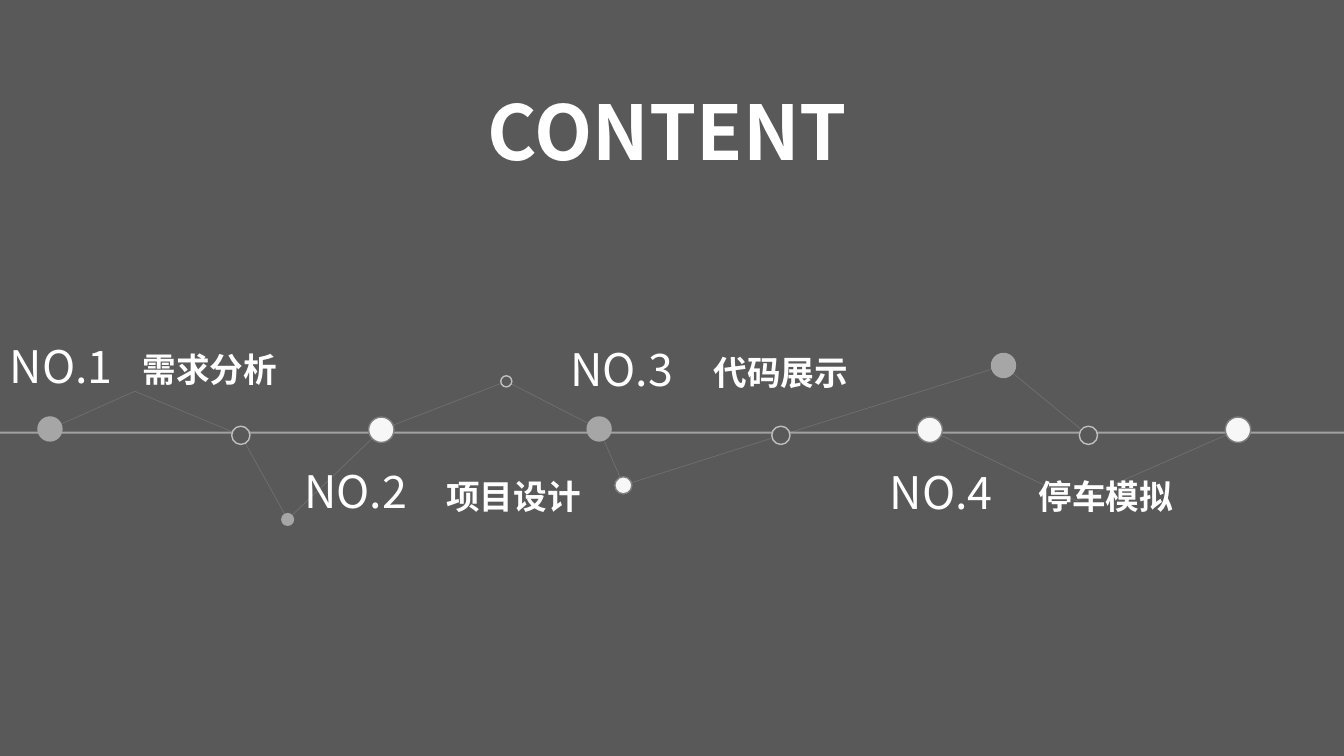
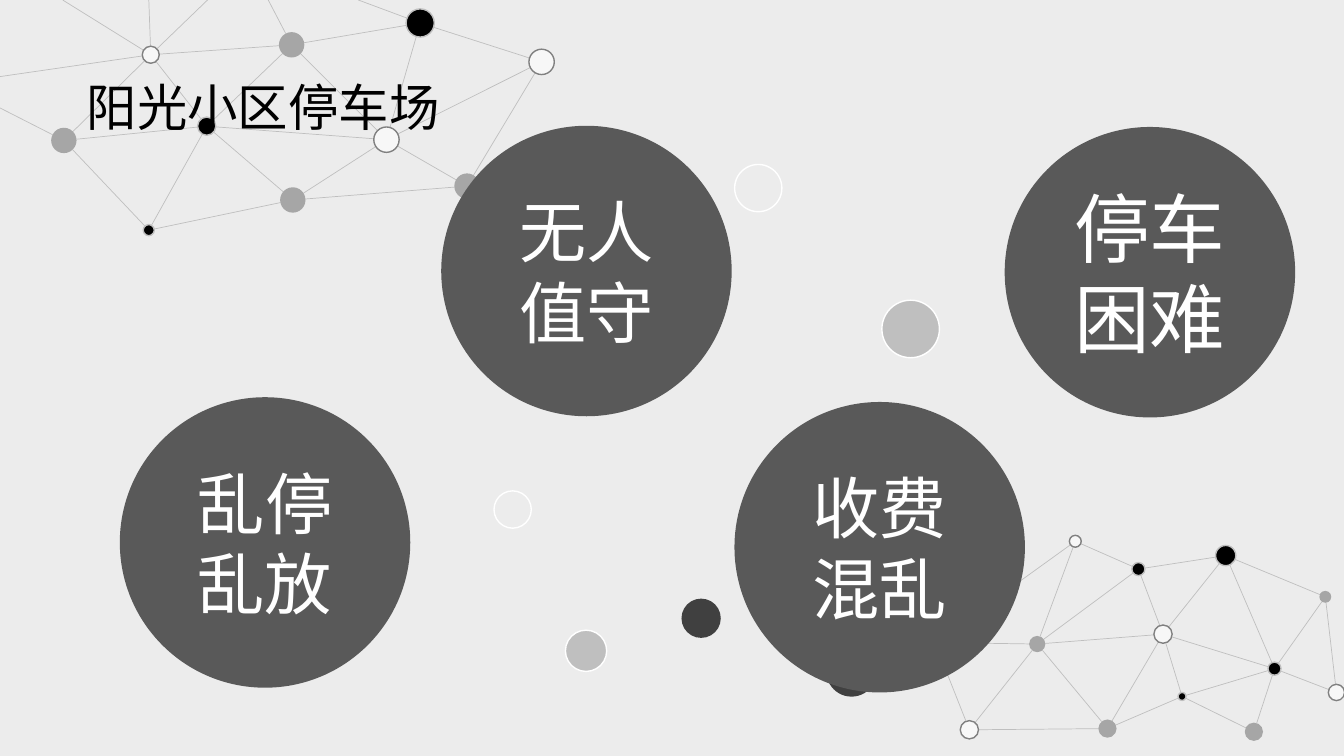
"""Build a contents slide and a car park problem slide with linked dots."""
from itertools import pairwise
from math import hypot

from lxml import etree
from pptx import Presentation
from pptx.dml.color import RGBColor
from pptx.enum import shapes, text
from pptx.oxml.ns import qn
from pptx.util import Cm, Pt

FONT = "Noto Sans CJK SC"
DARK, LIGHT, WHITE, BLACK = "595959", "ECECEC", "FFFFFF", "000000"
SILVER = "BFBFBF"
DOT_STYLES = {
    "grey": ("A6A6A6", None),
    "white": ("F7F7F7", "808080"),
    "black": (BLACK, SILVER),
    "hollow": (DARK, SILVER),
    "silver": (SILVER, WHITE),
    "charcoal": ("404040", None),
    "ring": (None, WHITE),
    "topic": (DARK, None),
}


def color(value):
    """Turn a hex string into a colour."""
    return RGBColor.from_string(value)


class Deck:
    """Hold the presentation, its style and the current slide."""

    def __init__(self):
        self.presentation = Presentation()
        self.presentation.slide_width = Cm(33.87)
        self.presentation.slide_height = Cm(19.05)
        self.slide = None

    def add_slide(self, background):
        """Start a title-only slide on a plain background."""
        self.slide = self.presentation.slides.add_slide(self.presentation.slide_layouts[5])
        fill = self.slide.background.fill
        fill.solid()
        fill.fore_color.rgb = color(background)

    def set_text(self, shape, words, size, ink, bold=False, align=text.PP_ALIGN.LEFT):
        """Put one formatted paragraph in a shape."""
        shape.text_frame.text = words
        paragraph = shape.text_frame.paragraphs[0]
        paragraph.alignment = align
        font = paragraph.font
        font.name, font.size, font.bold = FONT, Pt(size), bold
        font.color.rgb = color(ink)
        for properties in shape.element.iter(qn("a:defRPr")):
            etree.SubElement(properties, qn("a:ea"), typeface=FONT)

    def title(self, words, left, top, width, height, size, ink, bold=False):
        """Place the title above everything else on the slide."""
        shape = self.slide.shapes.title
        shape.left, shape.top, shape.width, shape.height = map(Cm, (left, top, width, height))
        frame = shape.text_frame
        frame.word_wrap = False
        frame.auto_size = text.MSO_AUTO_SIZE.NONE
        frame.vertical_anchor = text.MSO_ANCHOR.TOP
        self.set_text(shape, words, size, ink, bold)
        shape.element.getparent().append(shape.element)

    def label(self, words, left, top, width, height, size, bold=False):
        """Add a white text box."""
        box = self.slide.shapes.add_textbox(*map(Cm, (left, top, width, height)))
        box.text_frame.word_wrap = True
        self.set_text(box, words, size, WHITE, bold)

    def dot(self, style, x, y, diameter):
        """Add a circle around a centre point."""
        corner = (x - diameter / 2, y - diameter / 2)
        shape = self.slide.shapes.add_shape(
            shapes.MSO_SHAPE.OVAL, *map(Cm, (*corner, diameter, diameter)))
        shape.shadow.inherit = False
        fill, outline = DOT_STYLES[style]
        if fill:
            shape.fill.solid()
            shape.fill.fore_color.rgb = color(fill)
        else:
            shape.fill.background()
        if outline:
            shape.line.color.rgb = color(outline)
            shape.line.width = Pt(1)
        else:
            shape.line.fill.background()
        return shape

    def topic(self, words, x, y, size):
        """Add a large circle with centred words."""
        shape = self.dot("topic", x, y, 7.32)
        shape.text_frame.word_wrap = True
        shape.text_frame.vertical_anchor = text.MSO_ANCHOR.MIDDLE
        self.set_text(shape, words, size, WHITE, align=text.PP_ALIGN.CENTER)

    def line(self, start, end, ink=SILVER, width=0.5, opacity=100):
        """Add a straight line between two points."""
        connector = self.slide.shapes.add_connector(
            shapes.MSO_CONNECTOR.STRAIGHT, *map(Cm, (*start, *end)))
        connector.line.color.rgb = color(ink)
        connector.line.width = Pt(width)
        properties = connector.element.spPr
        tint = next(properties.iter(qn("a:srgbClr")))
        etree.SubElement(tint, qn("a:alpha"), val=str(opacity * 1000))
        etree.SubElement(properties, qn("a:effectLst"))

    def network(self, nodes, links, opacity=100):
        """Link nodes from rim to rim, then draw those that have a style."""
        for first, second in links:
            _, x1, y1, d1 = nodes[first]
            _, x2, y2, d2 = nodes[second]
            distance = hypot(x2 - x1, y2 - y1)
            dx, dy = (x2 - x1) / distance / 2, (y2 - y1) / distance / 2
            self.line((x1 + dx * d1, y1 + dy * d1), (x2 - dx * d2, y2 - dy * d2),
                      opacity=opacity)
        for style, x, y, diameter in nodes.values():
            if style:
                self.dot(style, x, y, diameter)


CHAINS = [
    [
        ("grey", 1.26, 10.81, 0.64), (None, 3.4, 9.86, 0), ("hollow", 6.07, 10.97, 0.46),
        ("grey", 7.25, 13.09, 0.33), ("white", 9.61, 10.83, 0.64),
        ("hollow", 12.76, 9.61, 0.28), ("grey", 15.1, 10.81, 0.64),
        ("white", 15.71, 12.23, 0.43), ("hollow", 19.68, 10.97, 0.46),
        ("grey", 25.29, 9.21, 0.64), ("hollow", 27.43, 10.97, 0.46),
    ],
    [("white", 23.43, 10.83, 0.64), (None, 27.13, 12.62, 0), ("white", 31.2, 10.83, 0.64)],
]
CHAPTERS = [
    ("需求分析", (0, 8.41), (3.35, 8.66)),
    ("项目设计", (7.42, 11.56), (11, 11.86)),
    ("代码展示", (14.12, 8.48), (17.73, 8.74)),
    ("停车模拟", (22.17, 11.58), (25.93, 11.86)),
]
TOP_NODES = {
    "A": ("black", 3.75, 5.8, 0.28), "B": ("grey", 7.38, 5.04, 0.64),
    "C": ("grey", 7.35, 1.13, 0.64), "D": ("black", 10.59, 0.58, 0.71),
    "E": ("grey", 11.77, 4.69, 0.64), "F": ("white", 9.74, 3.52, 0.64),
    "G": ("black", 5.21, 3.18, 0.46), "H": ("white", 13.65, 1.56, 0.64),
    "I": ("white", 3.8, 1.38, 0.43), "J": ("grey", 1.61, 3.54, 0.64),
    "K": (None, 0, 2.72, 0), "L": (None, 5.23, 0, 0), "M": (None, 9.03, 0, 0),
    "N": (None, 3.75, 0, 0), "O": (None, 0, 1.93, 0), "P": (None, 1.58, 0, 0),
    "Q": (None, 6.76, 0, 0),
}
TOP_LINKS = ("AB BF KJ EF IG LI MD DF HD GB NI JA OI "
             "PI JI JG AG DC QC IC GF GC FC HF HE BE").split()
BOTTOM_NODES = {
    "A": ("black", 30.89, 14, 0.51), "B": ("grey", 26.14, 16.23, 0.41),
    "C": ("white", 29.31, 15.98, 0.46), "D": ("black", 28.69, 14.34, 0.33),
    "E": (None, 23.56, 16.19, 0), "F": ("white", 27.1, 13.64, 0.3),
    "G": ("grey", 33.4, 15.04, 0.3), "H": ("white", 33.68, 17.45, 0.41),
    "I": ("white", 24.43, 18.39, 0.46), "J": ("grey", 31.6, 18.44, 0.46),
    "K": ("grey", 27.91, 18.36, 0.46), "L": ("black", 32.12, 16.85, 0.33),
    "M": ("black", 29.79, 17.55, 0.2),
}
BOTTOM_LINKS = ("BF FD AD AC EB DB HG IK IB IE AL AG GL "
                "HL JL DC BC MC ML CL KB KC KM MJ FE").split()
BUBBLES = [
    ("charcoal", 21.46, 16.92, 1.27), ("silver", 14.77, 16.4, 1.04),
    ("silver", 22.95, 8.29, 1.45), ("charcoal", 17.67, 15.58, 0.99),
    ("ring", 19.11, 4.74, 1.19), ("ring", 12.92, 12.84, 0.94),
]
TOPICS = [
    ("乱停乱放", 6.68, 13.67, 48), ("无人值守", 14.78, 6.83, 48),
    ("收费混乱", 22.17, 13.79, 48), ("停车困难", 28.98, 6.86, 54),
]


def contents_slide(deck):
    """Draw the four chapters along a timeline."""
    deck.add_slide(DARK)
    deck.line((0, 10.9), (33.87, 10.9), WHITE, 1.5, 43)
    for chain in CHAINS:
        deck.network(dict(enumerate(chain)), pairwise(range(len(chain))), 21)
    for number, (name, number_corner, name_corner) in enumerate(CHAPTERS, 1):
        deck.label(f"NO.{number}", *number_corner, 4.9, 1.63, 32)
        deck.label(name, *name_corner, 4.06, 1.27, 24, bold=True)
    deck.title("CONTENT", 12.04, 2.01, 9.8, 2.57, 54, WHITE, bold=True)


def problems_slide(deck):
    """Draw the four parking problems among linked dots."""
    deck.add_slide(LIGHT)
    deck.network(TOP_NODES, TOP_LINKS)
    deck.network(BOTTOM_NODES, BOTTOM_LINKS)
    for bubble in BUBBLES:
        deck.dot(*bubble)
    for topic in TOPICS:
        deck.topic(*topic)
    deck.title("阳光小区停车场", 1.93, 1.78, 9.4, 1.8, 36, BLACK)


def main():
    """Build and save the presentation."""
    deck = Deck()
    contents_slide(deck)
    problems_slide(deck)
    deck.presentation.save("out.pptx")


if __name__ == "__main__":
    main()
